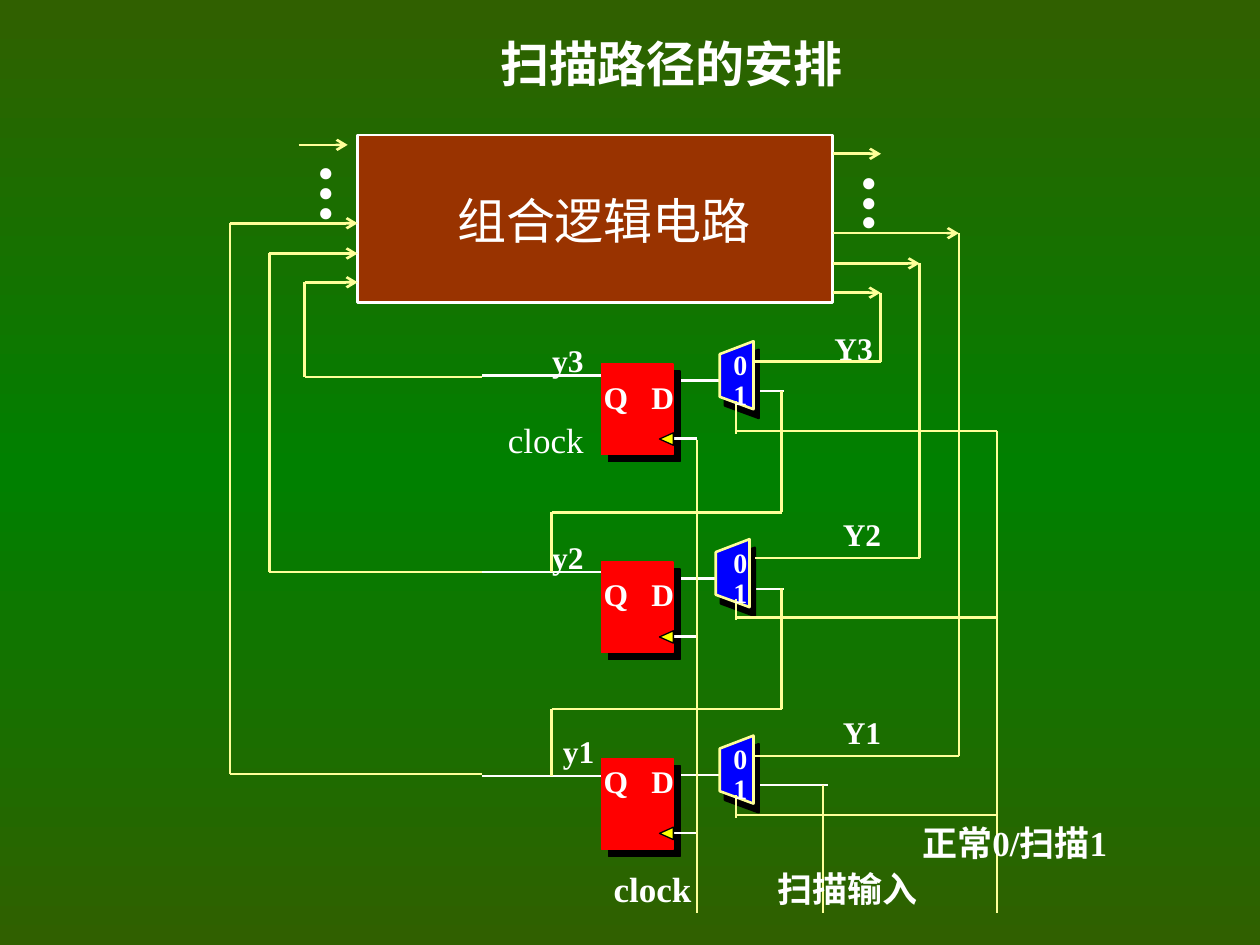
from copy import deepcopy
from dataclasses import dataclass

from lxml.etree import SubElement
from pptx import Presentation
from pptx.dml.color import RGBColor
from pptx.enum.shapes import MSO_CONNECTOR, MSO_SHAPE
from pptx.enum.text import MSO_ANCHOR, PP_ALIGN
from pptx.oxml.ns import qn
from pptx.slide import Slide
from pptx.util import Cm, Pt

COLORS = {
    "edge": "306000", "middle": "008000", "white": "FFFFFF", "black": "000000",
    "wire": "FFFF99", "logic": "993300", "flipflop": "FF0000",
    "clock": "FFFF00", "mux": "0000FF",
}
FONT = "Times New Roman"


def rgb(name):
    return RGBColor.from_string(COLORS[name])


def add_shadow(properties, distance, angle):
    effects = SubElement(properties, qn("a:effectLst"))
    shadow = SubElement(effects, qn("a:outerShdw"), dist=str(Pt(distance)),
                        dir=str(angle * 60000), algn="ctr", rotWithShape="0")
    SubElement(shadow, qn("a:srgbClr"), val=COLORS["black"])


def paint(shape, fill, line, width, shadow=None):
    shape.fill.solid()
    shape.fill.fore_color.rgb = rgb(fill)
    shape.line.color.rgb = rgb(line)
    shape.line.width = Pt(width)
    if shadow:
        add_shadow(shape._element.spPr, *shadow)
    else:
        shape.shadow.inherit = False


@dataclass
class Region:
    slide: Slide
    left: float
    top: float

    def place(self, x, y):
        return Cm(self.left + x), Cm(self.top + y)

    def wire(self, *points, color="wire", width=1.5, arrow=False):
        for start, end in zip(points, points[1:]):
            leg = self.slide.shapes.add_connector(
                MSO_CONNECTOR.STRAIGHT, *self.place(*start), *self.place(*end))
            leg.line.color.rgb = rgb(color)
            leg.line.width = Pt(width)
            if arrow:
                SubElement(leg.line._get_or_add_ln(), qn("a:tailEnd"), type="arrow")
            SubElement(leg._element.spPr, qn("a:effectLst"))

    def lead(self, start, end):
        self.wire(start, end, color="white", width=1.25)

    def shape(self, preset, x, y, width, height):
        return self.slide.shapes.add_shape(
            preset, *self.place(x, y), Cm(width), Cm(height))

    def label(self, text, x, y, width, height, size, bold=False, wrap=False,
              align=PP_ALIGN.LEFT, anchor=MSO_ANCHOR.TOP):
        box = self.slide.shapes.add_textbox(
            *self.place(x, y), Cm(width), Cm(height))
        frame = box.text_frame
        frame.word_wrap = wrap
        frame.vertical_anchor = anchor
        paragraph = frame.paragraphs[0]
        paragraph.alignment = align
        run = paragraph.add_run()
        run.text = text
        run.font.name = FONT
        run.font.size = Pt(size)
        run.font.bold = bold
        run.font.color.rgb = rgb("white")
        return run


def paint_background(slide):
    fill = slide.background.fill
    fill.gradient()
    fill.gradient_angle = 90
    last = next(slide._element.iter(qn("a:gsLst")))[-1]
    last.addprevious(deepcopy(last))
    for stop, position, color in zip(
            fill.gradient_stops, (0, 0.5, 1), ("edge", "middle", "edge")):
        stop.position = position
        stop.color.rgb = rgb(color)


def add_title(slide, left, top):
    run = Region(slide, left, top).label(
        "扫描路径的安排", 0, 0, 21.59, 1.27, 28, bold=True, wrap=True,
        align=PP_ALIGN.CENTER, anchor=MSO_ANCHOR.MIDDLE)
    properties = run.font._element if hasattr(run.font, "_element") else run._r.get_or_add_rPr()
    add_shadow(properties, 2, 45)
    properties.find(qn("a:solidFill")).addnext(properties.find(qn("a:effectLst")))


def add_logic(slide, left, top):
    region = Region(slide, left, top)
    width = 9.58
    block = region.shape(MSO_SHAPE.RECTANGLE, 0, 0, width, 3.38)
    paint(block, "logic", "white", 1.5)
    region.label("组合逻辑电路", 1.55, 0.99, 6.83, 1.45, 28, wrap=True,
                 align=PP_ALIGN.CENTER)
    region.wire((-1.19, 0.2), (-0.2, 0.2), arrow=True)
    region.wire((width, 0.38), (width + 0.97, 0.38), arrow=True)
    for x, y in ((-1.19, -0.61), (9.75, -0.41)):
        for step in range(3):
            region.label("·", x, y + 0.4 * step, 0.86, 2.54, 54, wrap=True,
                         align=PP_ALIGN.CENTER)


def add_feedback(slide, left, top):
    region = Region(slide, left, top)
    for x, pin, bottom in ((-1.07, 2.97, 4.88), (-1.78, 2.39, 8.81),
                           (-2.57, 1.78, 12.88)):
        region.wire((x, pin), (0, pin), arrow=True)
        region.wire((x, pin), (x, bottom), (2.5, bottom))
    for x, pin, bottom in ((10.54, 3.18, 4.57), (11.33, 2.59, 8.53),
                           (12.12, 1.98, 12.52)):
        region.wire((9.58, pin), (x, pin), arrow=True)
        region.wire((x, pin), (x, bottom), (8, bottom))


def add_stage(slide, left, top, number, out, pin, state, following,
              select, scan_end, mux_shift=0, linked=True):
    region = Region(slide, left, top)
    region.lead((scan_end, 0.54), (2.72, 0.54))
    region.lead((2.51, 0.33), (1.45, 0.33))
    paint(region.shape(MSO_SHAPE.RECTANGLE, 0, 0, 1.45, 1.83),
          "flipflop", "flipflop", 0.75, shadow=(5.7, 45))
    region.lead((1.93, 1.5), (1.45, 1.5))
    clock = region.shape(MSO_SHAPE.ISOSCELES_TRIANGLE, 1.19, 1.37, 0.25, 0.28)
    clock.rotation = 270
    paint(clock, "clock", "black", 0.75)
    region.label("D", 0.76, pin, 0.97, 1.02, 18, bold=True)
    region.label("Q", -0.2, pin, 0.99, 1.02, 18, bold=True)
    region.lead((0, out), (-2.4, out))
    region.label(f"y{number}", *state, 1.14, 1.02, 18, bold=True)
    region.label(f"Y{number}", *following, 1.3, 1.02, 18, bold=True)

    corners = [region.place(x + mux_shift, y) for x, y in
               ((3.07, 0.91), (3.07, -0.46), (2.39, -0.2), (2.39, 0.66))]
    outline = slide.shapes.build_freeform(*corners[0])
    outline.add_line_segments(corners[1:], close=True)
    paint(outline.convert_to_shape(), "mux", "wire", 1.5, shadow=(5.8, 59))
    region.wire((2.72, 0.74), (2.72, select + 0.05))
    region.wire((2.72, select), (7.98, select))
    for digit, y in (("0", -0.46), ("1", 0.14)):
        region.label(digit, 2.31, y, 0.99, 0.94, 16, bold=True, wrap=True,
                     align=PP_ALIGN.CENTER)
    if linked:
        region.wire((-1, out), (-1, -1), (3.64, -1), (3.64, -3.44))


def add_rails(slide, left, top):
    region = Region(slide, left, top)
    for x, start in ((1.93, 1.52), (4.47, 8.48), (7.98, 1.35)):
        region.wire((x, start), (x, 11.07))
    region.label("clock", -2.13, 0.97, 2.03, 1.12, 20)
    region.label("clock", 0, 10.03, 2.08, 1.12, 20, bold=True)
    region.label("扫描输入", 3.3, 10.03, 4.29, 1.12, 20, bold=True, wrap=True)
    region.label("正常0/扫描1", 6.22, 9.09, 4.29, 1.96, 20, bold=True, wrap=True)


def main():
    deck = Presentation()
    deck.slide_width, deck.slide_height = Cm(25.4), Cm(19.05)
    slide = deck.slides.add_slide(deck.slide_layouts[6])
    paint_background(slide)
    add_title(slide, 2.74, 0.64)
    add_stage(slide, 12.12, 7.34, 3, 0.23, 0.15, (-1.24, -0.58),
              (4.45, -0.84), 1.35, 3.68, linked=False)
    add_stage(slide, 12.12, 11.33, 2, 0.2, 0.13, (-1.24, -0.61),
              (4.62, -1.07), 1.12, 3.68, mux_shift=-0.08)
    add_stage(slide, 12.12, 15.29, 1, 0.36, -0.05, (-1.02, -0.66),
              (4.62, -1.04), 1.14, 4.57)
    add_rails(slide, 12.12, 7.34)
    add_logic(slide, 7.21, 2.72)
    add_feedback(slide, 7.21, 2.72)
    deck.save("out.pptx")


if __name__ == "__main__":
    main()
